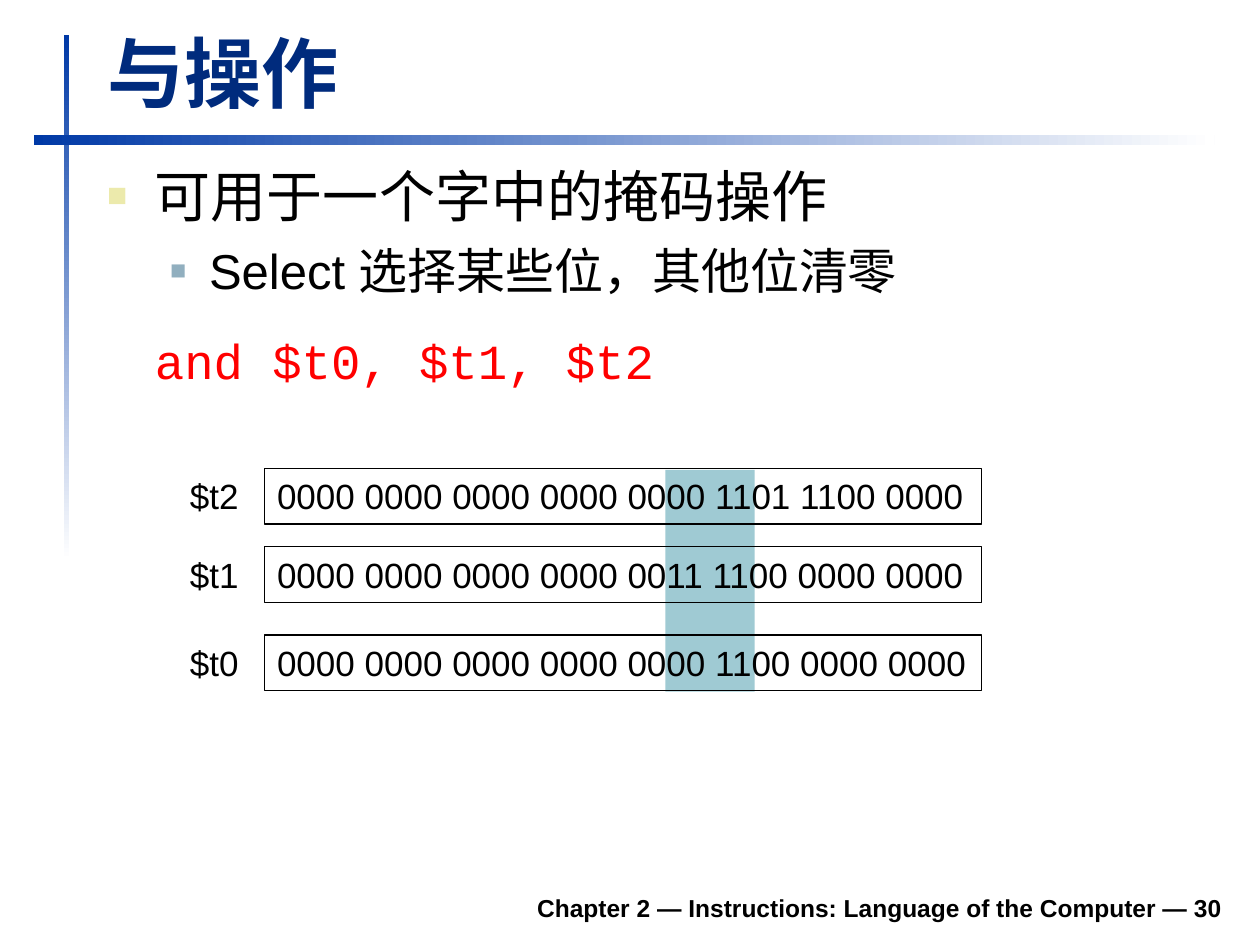
from lxml import etree
from pptx import Presentation
from pptx import util as u
from pptx.dml import color
from pptx.enum import shapes, text
from pptx.oxml import ns

BLACK = "000000"
ROW_LEFT, ROW_WIDTH, ROW_HEIGHT = 2.1, 5.69, 0.44
LABEL_LEFT, LABEL_WIDTH = 1.41, 0.6
REGISTERS = [
    ("$t2", "0000 0000 0000 0000 0000 1101 1100 0000", 3.72),
    ("$t1", "0000 0000 0000 0000 0011 1100 0000 0000", 4.34),
    ("$t0", "0000 0000 0000 0000 0000 1100 0000 0000", 5.04),
]


def rgb(value):
    return color.RGBColor.from_string(value)


def place(shape, left, top, width, height):
    shape.left, shape.top = u.Inches(left), u.Inches(top)
    shape.width, shape.height = u.Inches(width), u.Inches(height)


def add_run(paragraph, content, size, fill=BLACK, bold=False, font="Arial"):
    run = paragraph.add_run()
    run.text = content
    run.font.name, run.font.size, run.font.bold = font, u.Pt(size), bold
    run.font.color.rgb = rgb(fill)


def set_indent(paragraph, margin, hanging, bullet=None):
    """Set the indent and, if given, a square bullet of (colour, percent)."""
    properties = paragraph._p.get_or_add_pPr()
    properties.set("marL", str(u.Inches(margin)))
    properties.set("indent", str(-u.Inches(hanging)))

    def add(parent, tag, **attributes):
        return etree.SubElement(parent, ns.qn(tag), attributes)

    if bullet is None:
        add(properties, "a:buNone")
        return
    fill, percent = bullet
    add(add(properties, "a:buClr"), "a:srgbClr", val=fill)
    add(properties, "a:buSzPct", val=str(percent * 1000))
    add(properties, "a:buFont", typeface="Arial")
    add(properties, "a:buChar", char="■")


def add_rectangle(slide, left, top, width, height):
    shape = slide.shapes.add_shape(
        shapes.MSO_SHAPE.RECTANGLE, *map(u.Inches, (left, top, width, height)))
    shape.shadow.inherit = False
    shape.line.fill.background()
    return shape


def add_gradient_rule(slide, box, angle):
    fill = add_rectangle(slide, *box).fill
    fill.gradient()
    fill.gradient_angle = angle
    for stop, value in zip(fill.gradient_stops, ("0039A6", "FFFFFF")):
        stop.color.rgb = rgb(value)


def write_label(shape, content):
    frame = shape.text_frame
    frame.word_wrap = False
    frame.auto_size = text.MSO_AUTO_SIZE.SHAPE_TO_FIT_TEXT
    frame.vertical_anchor = text.MSO_ANCHOR.TOP
    paragraph = frame.paragraphs[0]
    paragraph.alignment = text.PP_ALIGN.LEFT
    add_run(paragraph, content, 20)


def add_register(slide, name, bits, top):
    box = add_rectangle(slide, ROW_LEFT, top, ROW_WIDTH, ROW_HEIGHT)
    box.fill.background()
    box.line.color.rgb = rgb(BLACK)
    box.line.width = u.Pt(0.75)
    write_label(box, bits)
    label = slide.shapes.add_textbox(
        *map(u.Inches, (LABEL_LEFT, top, LABEL_WIDTH, ROW_HEIGHT)))
    write_label(label, name)


def fill_title(slide):
    title = slide.shapes.title
    place(title, 0.75, 0.16, 9.03, 0.83)
    frame = title.text_frame
    frame.vertical_anchor = text.MSO_ANCHOR.BOTTOM
    frame.auto_size = text.MSO_AUTO_SIZE.SHAPE_TO_FIT_TEXT
    frame.paragraphs[0].alignment = text.PP_ALIGN.LEFT
    add_run(frame.paragraphs[0], "与操作", 44, "002B7D", bold=True)


def fill_body(slide):
    body = slide.placeholders[1]
    place(body, 0.75, 1.23, 9.04, 2.27)
    frame = body.text_frame
    frame.auto_size = text.MSO_AUTO_SIZE.NONE

    topic = frame.paragraphs[0]
    set_indent(topic, 0.38, 0.38, ("ECEAAC", 60))
    topic.space_before = u.Pt(0)
    add_run(topic, "可用于一个字中的掩码操作", 32)

    detail = frame.add_paragraph()
    detail.level = 1
    set_indent(detail, 0.81, 0.31, ("91AFBF", 55))
    detail.space_before = u.Pt(7)
    add_run(detail, "Select 选择某些位，其他位清零", 28)

    code = frame.add_paragraph()
    set_indent(code, 0.38, 0)
    code.space_before, code.space_after = u.Pt(17.5), u.Pt(10.5)
    add_run(code, "and $t0, $t1, $t2", 28, "FF0000", font="Courier New")


def add_footer(slide):
    footer = slide.shapes.add_textbox(*map(u.Inches, (1.85, 6.98, 7.95, 0.39)))
    frame = footer.text_frame
    frame.word_wrap = True
    frame.vertical_anchor = text.MSO_ANCHOR.BOTTOM
    frame.paragraphs[0].alignment = text.PP_ALIGN.RIGHT
    add_run(frame.paragraphs[0],
            "Chapter 2 — Instructions: Language of the Computer — 30",
            14, bold=True)


def main():
    presentation = Presentation()
    presentation.slide_width = u.Inches(10)
    presentation.slide_height = u.Inches(7.5)
    slide = presentation.slides.add_slide(presentation.slide_layouts[1])

    # Crossing rules; gradient angles run counter-clockwise
    add_gradient_rule(slide, (0.51, 0.28, 0.04, 4.17), 270)
    add_gradient_rule(slide, (0.27, 1.07, 9.37, 0.08), 0)

    # Title, list and footer
    fill_title(slide)
    fill_body(slide)
    add_footer(slide)

    # Masked bits, highlighted behind the register rows
    mask = add_rectangle(slide, 5.28, 3.73, 0.71, 1.76)
    mask.fill.solid()
    mask.fill.fore_color.rgb = rgb("9FCAD3")
    for name, bits, top in REGISTERS:
        add_register(slide, name, bits, top)

    presentation.save("out.pptx")


if __name__ == "__main__":
    main()
